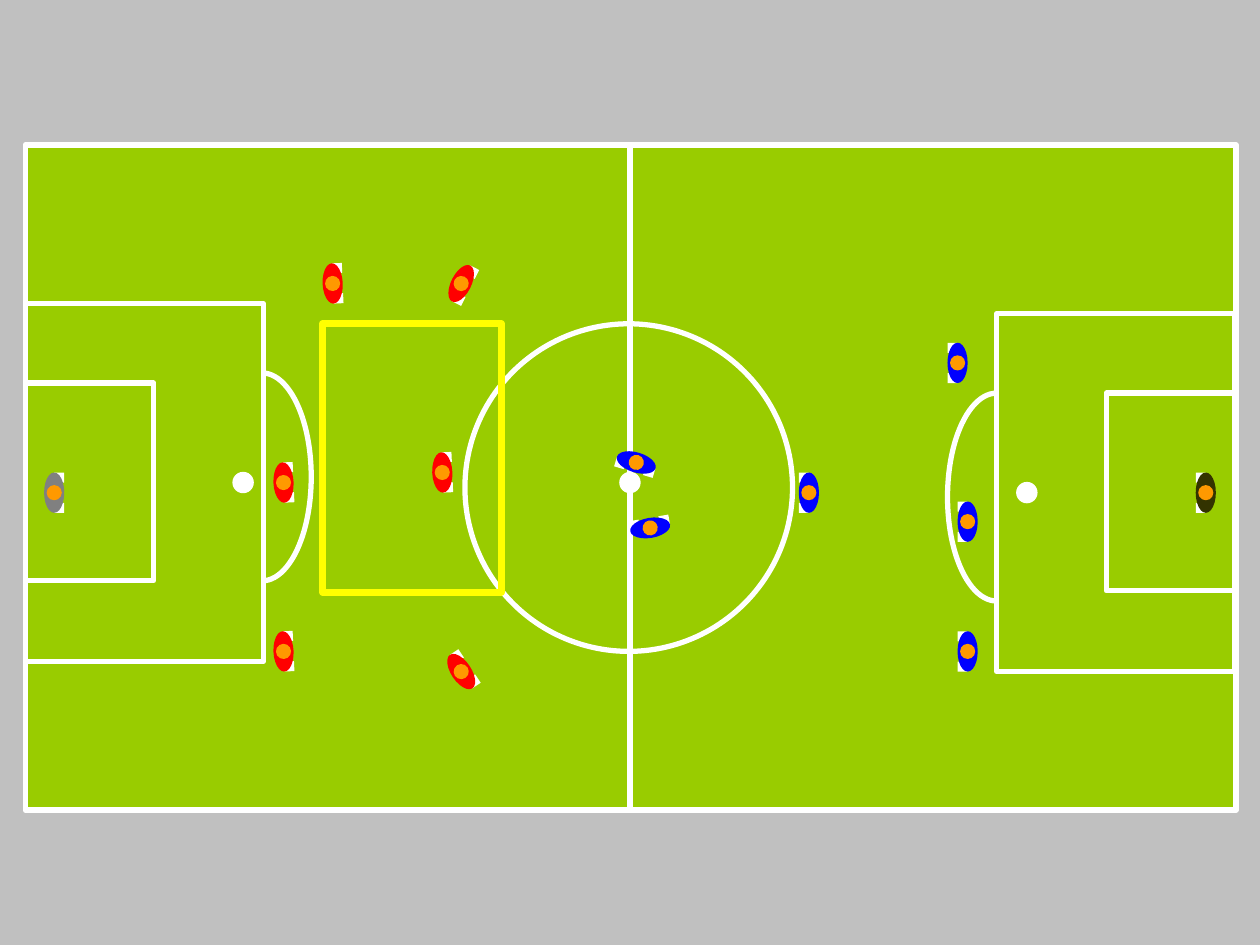
from lxml.etree import SubElement
from pptx import Presentation
from pptx.dml.color import RGBColor as RGB
from pptx.enum.shapes import MSO_CONNECTOR as LINK, MSO_SHAPE as KIND
from pptx.oxml.ns import qn
from pptx.util import Inches, Pt

THEME = {
    "back": "C0C0C0", "grass": "99CC00", "chalk": "FFFFFF", "zone": "FFFF00",
    "head": "FF9900", "red": "FF0000", "blue": "0000FF",
    "grey": "808080", "dark": "333300",
}


def tint(name):
    return RGB.from_string(THEME[name])


def draw(host, kind, box, fill=None, line=None, width=3):
    """Add a preset shape; box is left, top, width, height in inches."""
    shape = host.add_shape(kind, *[Inches(v) for v in box])
    shape.shadow.inherit = False
    if fill:
        shape.fill.solid()
        shape.fill.fore_color.rgb = tint(fill)
    else:
        shape.fill.background()
    if line:
        shape.line.color.rgb = tint(line)
        shape.line.width = Pt(width)
    else:
        shape.line.fill.background()
    return shape


deck = Presentation()
deck.slide_width, deck.slide_height = Inches(10), Inches(7.5)
slide = deck.slides.add_slide(deck.slide_layouts[6])
slide.background.fill.solid()
slide.background.fill.fore_color.rgb = tint("back")
shapes = slide.shapes

# Pitch, halfway line and centre circle
left, top, wide, high = 0.2, 1.15, 9.61, 5.28
draw(shapes, KIND.RECTANGLE, (left, top, wide, high), "grass", "chalk")
half = shapes.add_connector(LINK.STRAIGHT, Inches(5), Inches(top),
                            Inches(5), Inches(top + high))
half.line.color.rgb = tint("chalk")
half.line.width = Pt(4)
SubElement(half._element.spPr, qn("a:effectLst"))
draw(shapes, KIND.OVAL, (3.69, 2.57, 2.6, 2.6), line="chalk")

# Both ends: outer edge x of each box, arc centre x, arc top, arc angles
ENDS = [
    {"big": (7.91, 2.49), "small": (8.78, 3.12), "arc": (7.52, 3.12), "turn": (90, 270)},
    {"big": (0.2, 2.41), "small": (0.2, 3.04), "arc": (1.69, 2.96), "turn": (270, 90)},
]
for end in ENDS:
    goal = shapes.add_group_shape().shapes
    draw(goal, KIND.RECTANGLE, (*end["big"], 1.89, 2.84), line="chalk")
    draw(goal, KIND.RECTANGLE, (*end["small"], 1.02, 1.57), line="chalk")
    arc = draw(goal, KIND.ARC, (*end["arc"], 0.78, 1.65), line="chalk")
    for i, angle in enumerate(end["turn"]):
        arc.adjustments[i] = angle * 0.6  # 60000 units per degree over 100000

# Centre and penalty spots
for x, y in [(4.92, 3.75), (8.07, 3.83), (1.85, 3.75)]:
    draw(shapes, KIND.OVAL, (x, y, 0.16, 0.16), "chalk", "chalk", 0.75)

# Players: centre x, centre y, rotation, shirt
PLAYERS = [
    (6.42, 3.91, 270, "blue"),
    (3.51, 3.75, 87.5, "red"),
    (0.43, 3.91, 90, "grey"),
    (9.57, 3.91, 270, "dark"),
    (5.05, 3.67, 196.8, "blue"),
    (5.16, 4.19, 350.4, "blue"),
    (7.6, 2.88, 270, "blue"),
    (7.68, 4.14, 270, "blue"),
    (7.68, 5.17, 270, "blue"),
    (3.66, 5.33, 56.3, "red"),
    (3.66, 2.25, 116.8, "red"),
    (2.25, 3.83, 87.5, "red"),
    (2.25, 5.17, 87.5, "red"),
    (2.64, 2.25, 87.5, "red"),
]
for x, y, turn, shirt in PLAYERS:
    player = shapes.add_group_shape()
    for hand in (x - 0.16, x + 0.08):
        draw(player.shapes, KIND.RECTANGLE, (hand, y - 0.08, 0.08, 0.08), "chalk")
    draw(player.shapes, KIND.OVAL, (x - 0.16, y - 0.08, 0.32, 0.16), shirt)
    draw(player.shapes, KIND.OVAL, (x - 0.06, y - 0.06, 0.12, 0.12), "head")
    player.rotation = turn

# Marked zone
draw(shapes, KIND.RECTANGLE, (2.56, 2.57, 1.42, 2.13), line="zone", width=4)

deck.save("out.pptx")
